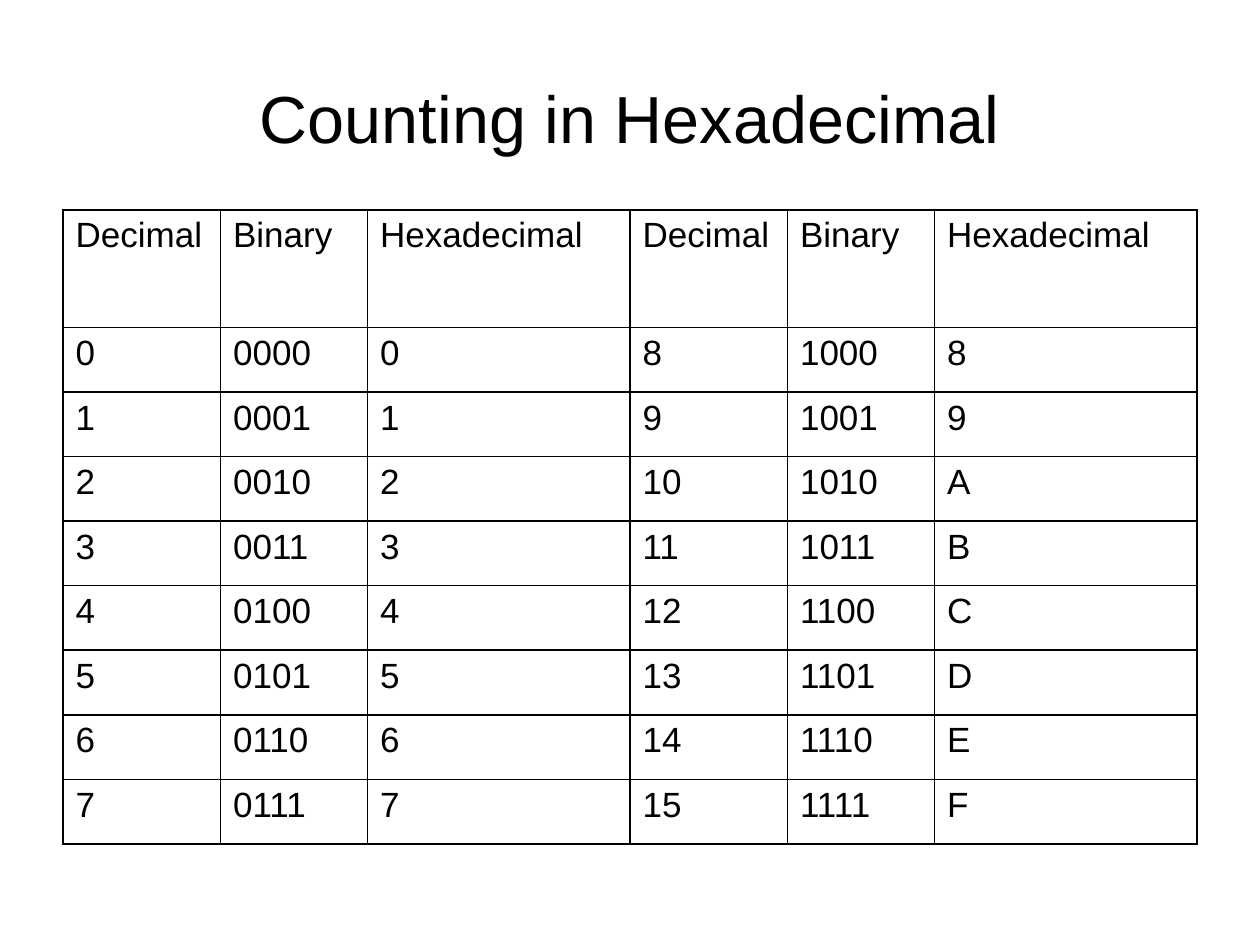
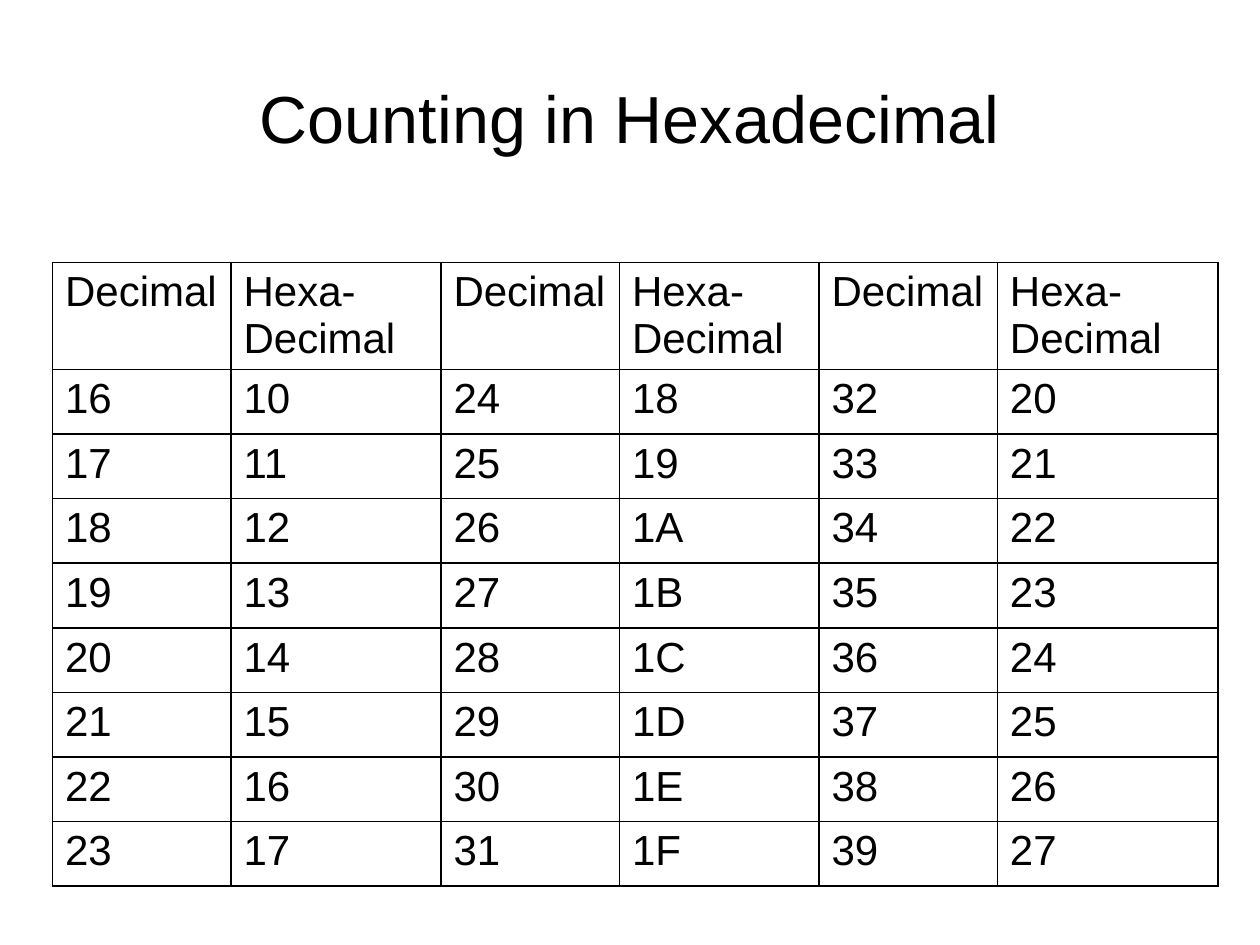
from dataclasses import dataclass

from lxml import etree
from pptx import Presentation
from pptx.dml.color import RGBColor
from pptx.enum.text import MSO_ANCHOR, PP_ALIGN
from pptx.oxml.ns import qn
from pptx.util import Pt

CENTER = PP_ALIGN.CENTER
JUSTIFY = PP_ALIGN.JUSTIFY
MIDDLE = MSO_ANCHOR.MIDDLE
TITLE_ONLY = 5
COUNT_ROWS = 8


@dataclass(frozen=True)
class Theme:
    font: str = "Arial"
    ink: RGBColor = RGBColor(0, 0, 0)
    paper: RGBColor = RGBColor(255, 255, 255)
    title_size: float = 38
    border_width: float = 1
    hanging_indent: float = 27
    count_row_height: float = 36.9


THEME = Theme()
TITLE = "Counting in Hexadecimal"
TITLE_BOX = (36, 21.6, 648, 90)


def style_paragraph(paragraph, size, alignment):
    paragraph.alignment = alignment
    for run in paragraph.runs:
        run.font.name = THEME.font
        run.font.size = Pt(size)
        run.font.color.rgb = THEME.ink


def add_title(slide, box):
    title = slide.shapes.title
    title.left, title.top, title.width, title.height = map(Pt, box)
    frame = title.text_frame
    frame.text = TITLE
    frame.word_wrap = True
    frame.vertical_anchor = MIDDLE
    style_paragraph(frame.paragraphs[0], THEME.title_size, CENTER)


def outline_cell(cell):
    properties = cell._tc.get_or_add_tcPr()
    for position, side in enumerate(("lnL", "lnR", "lnT", "lnB")):
        border = etree.Element(qn(f"a:{side}"), w=str(Pt(THEME.border_width)))
        fill = etree.SubElement(border, qn("a:solidFill"))
        etree.SubElement(fill, qn("a:srgbClr"), val=str(THEME.ink))
        properties.insert(position, border)


def fill_cell(cell, content, size):
    cell.fill.solid()
    cell.fill.fore_color.rgb = THEME.paper
    cell.margin_bottom = Pt(2)
    cell.text_frame.text = content
    for paragraph in cell.text_frame.paragraphs:
        style_paragraph(paragraph, size, JUSTIFY)
        indents = paragraph._p.get_or_add_pPr()
        indents.set("marL", str(Pt(THEME.hanging_indent)))
        indents.set("indent", str(-Pt(THEME.hanging_indent)))
    outline_cell(cell)


def add_count_table(slide, corner, rows, widths, header_height, size):
    heights = [header_height] + [THEME.count_row_height] * COUNT_ROWS
    left, top = corner
    table = slide.shapes.add_table(
        len(rows), len(widths), Pt(left), Pt(top), Pt(sum(widths)), Pt(sum(heights))
    ).table
    table.first_row = table.horz_banding = False
    for column, width in zip(table.columns, widths):
        column.width = Pt(width)
    for row, height, contents in zip(table.rows, heights, rows):
        row.height = Pt(height)
        for cell, content in zip(row.cells, contents):
            fill_cell(cell, content, size)


def count_rows(headings, formats, starts):
    """One heading row, then a group of formatted columns for each start."""
    rows = [headings * len(starts)]
    for step in range(COUNT_ROWS):
        rows.append([format(start + step, code) for start in starts for code in formats])
    return rows


def add_counting_slide(deck, **table):
    slide = deck.slides.add_slide(deck.slide_layouts[TITLE_ONLY])
    slide.background.fill.solid()
    slide.background.fill.fore_color.rgb = THEME.paper
    add_title(slide, TITLE_BOX)
    add_count_table(slide, **table)


def main():
    deck = Presentation()
    deck.slide_width, deck.slide_height = Pt(720), Pt(540)

    # 0 to 15 in three number systems
    add_counting_slide(
        deck,
        corner=(36, 120),
        rows=count_rows(["Decimal", "Binary", "Hexadecimal"], ["d", "04b", "X"], [0, 8]),
        widths=[90, 84, 150] * 2,
        header_height=67.2,
        size=20,
    )

    # 16 to 39 in decimal and hexadecimal
    add_counting_slide(
        deck,
        corner=(30, 150),
        rows=count_rows(["Decimal", "Hexa-\nDecimal"], ["d", "X"], [16, 24, 32]),
        widths=[102, 120, 102, 114, 102, 126],
        header_height=61.2,
        size=24,
    )

    deck.save("out.pptx")


if __name__ == "__main__":
    main()
